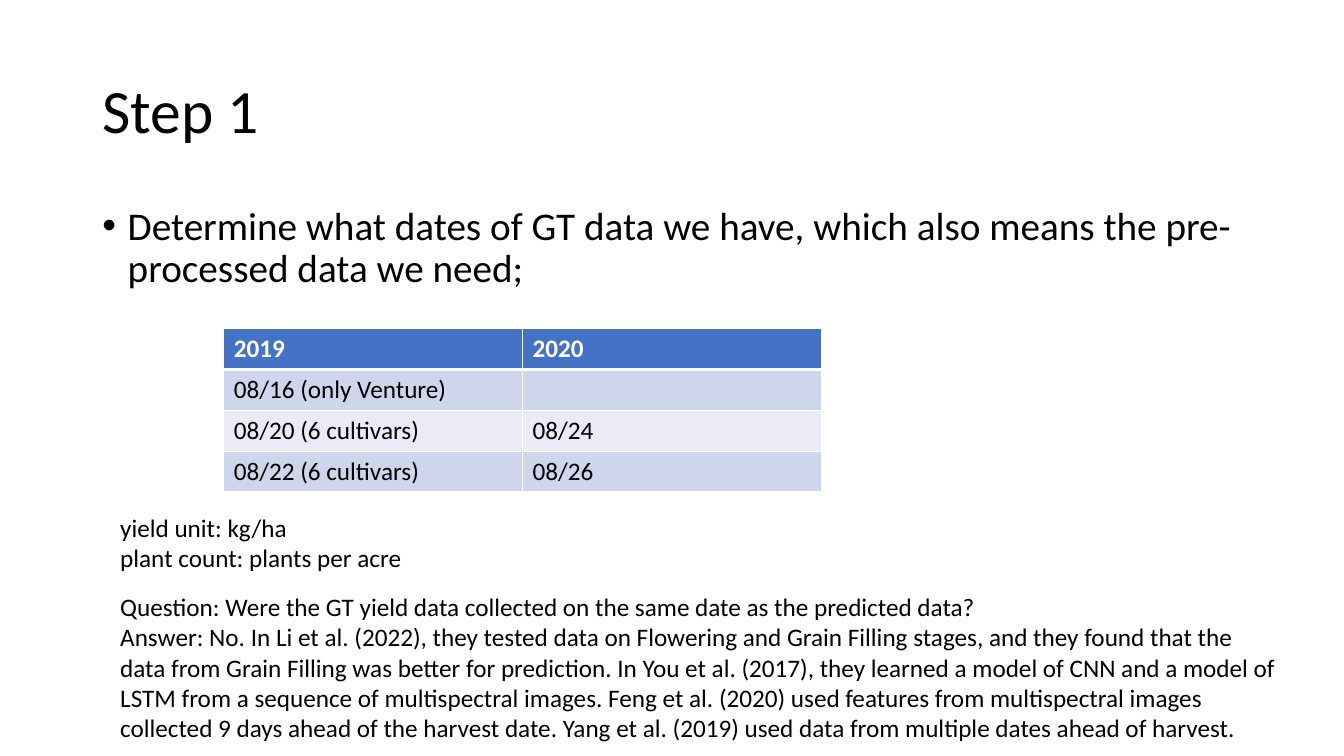
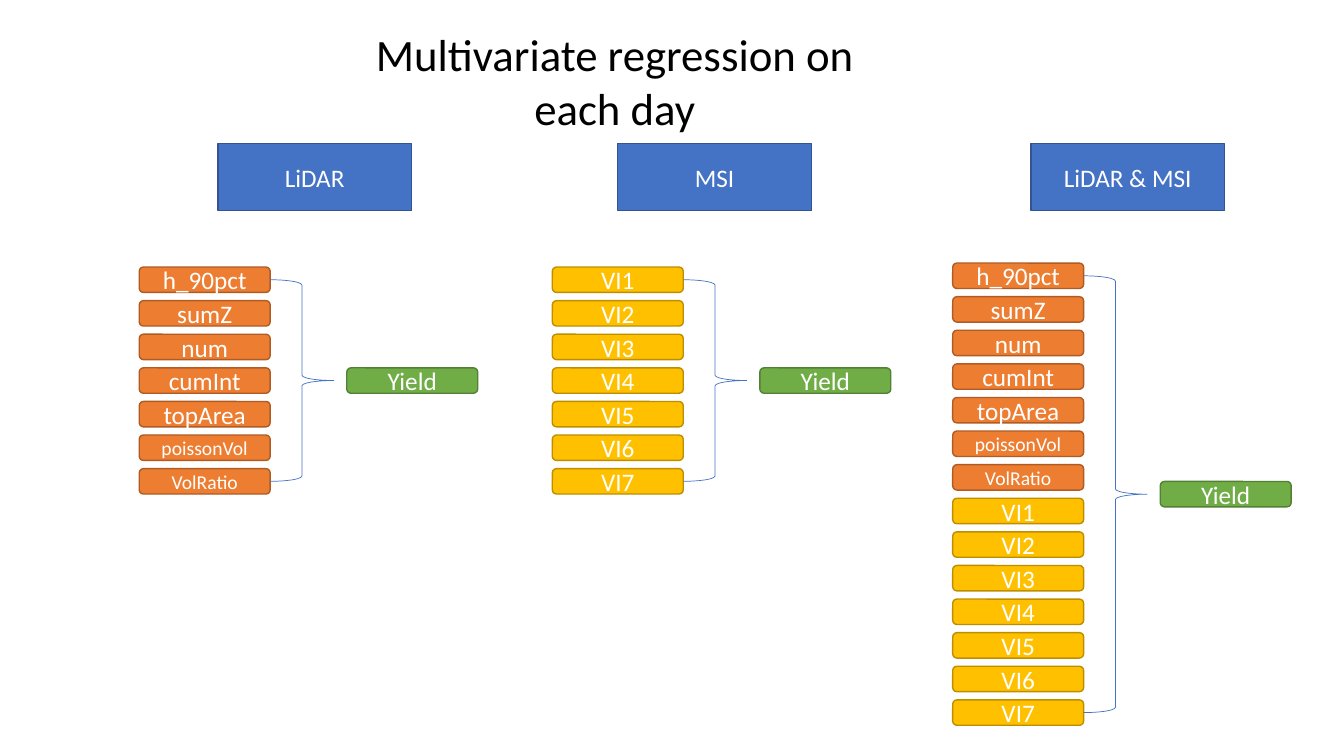
from lxml import etree
from pptx import Presentation
from pptx.dml.color import RGBColor
from pptx.enum.shapes import MSO_SHAPE as Shape
from pptx.enum.text import MSO_ANCHOR as Anchor, PP_ALIGN as Align
from pptx.oxml.ns import qn
from pptx.util import Cm, Pt

# Shared look
FONT = "Calibri"
BLACK = RGBColor(0x00, 0x00, 0x00)
WHITE = RGBColor(0xFF, 0xFF, 0xFF)
BLUE = RGBColor(0x44, 0x72, 0xC4)
BAND_DARK = RGBColor(0xCF, 0xD5, 0xEA)
BAND_LIGHT = RGBColor(0xE9, 0xEB, 0xF5)
# Each style is a fill and an outline
HEADER = (BLUE, RGBColor(0x32, 0x54, 0x91))
ORANGE = (RGBColor(0xED, 0x7D, 0x31), RGBColor(0xAF, 0x5C, 0x24))
GOLD = (RGBColor(0xFF, 0xC0, 0x00), RGBColor(0xBD, 0x8E, 0x00))
GREEN = (RGBColor(0x70, 0xAD, 0x47), RGBColor(0x53, 0x80, 0x35))

# Content of the first slide
STEP_TITLE = "Step 1"
STEP_GOAL = ("Determine what dates of GT data we have, "
             "which also means the pre-processed data we need;")
DATES = [
    ("2019", "2020"),
    ("08/16 (only Venture)", ""),
    ("08/20 (6 cultivars)", "08/24"),
    ("08/22 (6 cultivars)", "08/26"),
]
UNITS = ["yield unit: kg/ha", "plant count: plants per acre"]
DISCUSSION = [
    "Question: Were the GT yield data collected on the same date as the "
    "predicted data?",
    "Answer: No. In Li et al. (2022), they tested data on Flowering and Grain "
    "Filling stages, and they found that the data from Grain Filling was "
    "better for prediction. In You et al. (2017), they learned a model of CNN "
    "and a model of LSTM from a sequence of multispectral images. Feng et al. "
    "(2020) used features from multispectral images collected 9 days ahead of "
    "the harvest date. Yang et al. (2019) used data from multiple dates ahead "
    "of harvest.",
]

# Content of the second slide: features are name, size, style
REGRESSION_TITLE = "Multivariate regression on each day"
LIDAR = [(name, 18, ORANGE)
         for name in ("h_90pct", "sumZ", "num", "cumInt", "topArea")]
LIDAR += [(name, 14, ORANGE) for name in ("poissonVol", "VolRatio")]
MSI = [(f"VI{number}", 18, GOLD) for number in range(1, 8)]
# Model name, header left, features left, features top, features
MODELS = [
    ("LiDAR", 5.49, 3.51, 6.73, LIDAR),
    ("MSI", 15.57, 13.92, 6.73, MSI),
    ("LiDAR & MSI", 25.98, 24.01, 6.63, LIDAR + MSI),
]
HEADER_TOP, HEADER_WIDTH, HEADER_HEIGHT = 3.61, 4.88, 1.7
CHIP_WIDTH, CHIP_HEIGHT = 3.3, 0.64
PITCH = 5.08 / 6
BRACE_WIDTH, YIELD_OFFSET = 1.6, 5.23


def style_text(para, size, color, align=Align.LEFT, bold=False):
    para.alignment = align
    para.font.name = FONT
    para.font.size = Pt(size)
    para.font.bold = bold
    para.font.color.rgb = color


def add_text(page, place, lines, size, align=Align.LEFT, anchor=Anchor.TOP):
    box = page.shapes.add_textbox(*map(Cm, place))
    frame = box.text_frame
    frame.word_wrap = True
    frame.vertical_anchor = anchor
    frame.text = "\n".join(lines)
    for para in frame.paragraphs:
        style_text(para, size, BLACK, align)
    return frame.paragraphs[0]


def add_label(page, kind, place, text, size, style):
    label = page.shapes.add_shape(kind, *map(Cm, place))
    label.shadow.inherit = False
    label.fill.solid()
    label.fill.fore_color.rgb, label.line.color.rgb = style
    label.line.width = Pt(1)
    frame = label.text_frame
    frame.word_wrap = True
    frame.vertical_anchor = Anchor.MIDDLE
    frame.text = text
    style_text(frame.paragraphs[0], size, WHITE, Align.CENTER)


def add_bullet(para):
    props = para._p.get_or_add_pPr()
    props.set("marL", str(Cm(0.64)))
    props.set("indent", str(-Cm(0.64)))
    etree.SubElement(props, qn("a:buFont")).set("typeface", "Arial")
    etree.SubElement(props, qn("a:buChar")).set("char", "•")


def add_borders(cell, top, bottom):
    props = cell._tc.get_or_add_tcPr()
    for side, width in (("L", 1), ("R", 1), ("T", top), ("B", bottom)):
        edge = etree.SubElement(props, qn(f"a:ln{side}"))
        edge.set("w", str(Pt(width)))
        fill = etree.SubElement(edge, qn("a:solidFill"))
        etree.SubElement(fill, qn("a:srgbClr")).set("val", str(WHITE))


def add_dates(page):
    table = page.shapes.add_table(len(DATES), 2, Cm(5.64), Cm(8.28),
                                  Cm(15.06), Cm(4.12)).table
    for row, texts in enumerate(DATES):
        table.rows[row].height = Cm(1.03)
        heading = row == 0
        band = BLUE if heading else (BAND_DARK if row % 2 else BAND_LIGHT)
        for column, text in enumerate(texts):
            cell = table.cell(row, column)
            add_borders(cell, 3 if row == 1 else 1, 3 if heading else 1)
            cell.fill.solid()
            cell.fill.fore_color.rgb = band
            cell.text = text
            style_text(cell.text_frame.paragraphs[0], 18,
                       WHITE if heading else BLACK, bold=heading)


def add_model(page, name, header_left, left, top, features):
    add_label(page, Shape.RECTANGLE,
              (header_left, HEADER_TOP, HEADER_WIDTH, HEADER_HEIGHT),
              name, 18, HEADER)
    for index, (feature, size, style) in enumerate(features):
        add_label(page, Shape.ROUNDED_RECTANGLE,
                  (left, top + index * PITCH, CHIP_WIDTH, CHIP_HEIGHT),
                  feature, size, style)
    # The brace joins the centres of the first and last features
    reach = (len(features) - 1) * PITCH
    brace = page.shapes.add_shape(
        Shape.RIGHT_BRACE, Cm(left + CHIP_WIDTH), Cm(top + CHIP_HEIGHT / 2),
        Cm(BRACE_WIDTH), Cm(reach))
    brace.shadow.inherit = False
    brace.fill.background()
    brace.line.color.rgb = BLUE
    brace.line.width = Pt(0.5)
    add_label(page, Shape.ROUNDED_RECTANGLE,
              (left + YIELD_OFFSET, top + reach / 2, CHIP_WIDTH, CHIP_HEIGHT),
              "Yield", 18, GREEN)


deck = Presentation()
deck.slide_width, deck.slide_height = Cm(33.87), Cm(19.05)
blank = deck.slide_layouts[6]

# First slide: available dates
step = deck.slides.add_slide(blank)
title = add_text(step, (2.33, 1.01, 29.21, 3.68), [STEP_TITLE], 44,
                 anchor=Anchor.MIDDLE)
title.line_spacing = 0.9
goal = add_text(step, (2.33, 5.08, 29.21, 12.09), [STEP_GOAL], 28)
goal.line_spacing = 0.9
goal.space_before = Pt(10)
add_bullet(goal)
add_dates(step)
add_text(step, (2.78, 12.78, 12.45, 1.8), UNITS, 18)
add_text(step, (2.78, 14.78, 29.64, 4.12), DISCUSSION, 18)

# Second slide: regression models
regression = deck.slides.add_slide(blank)
for model in MODELS:
    add_model(regression, *model)
add_text(regression, (8.13, 0.56, 14.73, 3), [REGRESSION_TITLE], 32,
         Align.CENTER)

deck.save("out.pptx")
